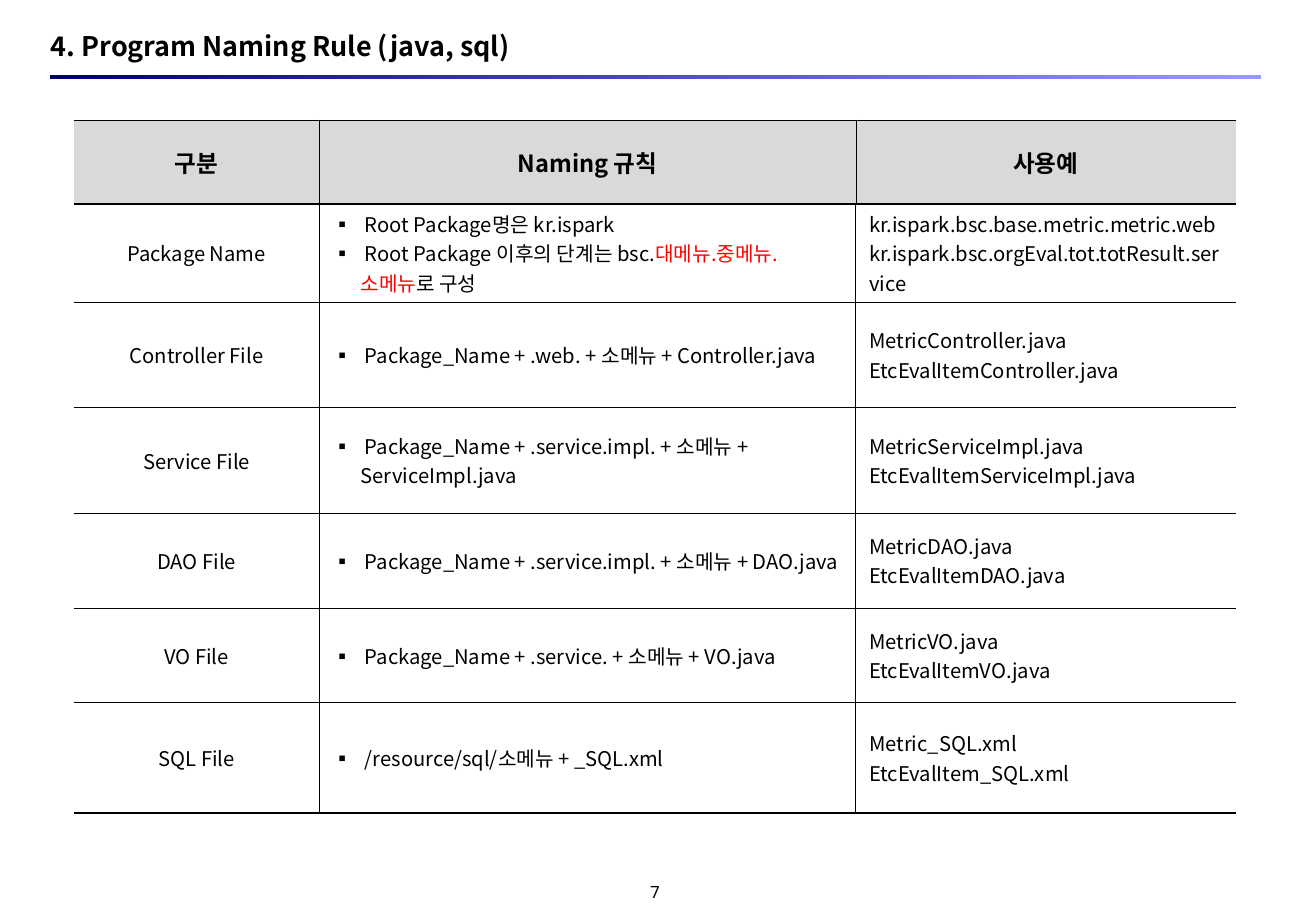
"""Build the slide that sets out the naming rules for Java and SQL programs."""
from dataclasses import dataclass
from typing import Any

from lxml import etree
from pptx import Presentation
from pptx.dml.color import RGBColor
from pptx.enum.shapes import MSO_SHAPE
from pptx.enum.text import MSO_ANCHOR, MSO_AUTO_SIZE, PP_ALIGN
from pptx.oxml.ns import qn
from pptx.util import Emu, Pt

LEFT, CENTER = PP_ALIGN.LEFT, PP_ALIGN.CENTER
MIDDLE = MSO_ANCHOR.MIDDLE
NO_AUTOFIT = MSO_AUTO_SIZE.NONE
RECTANGLE = MSO_SHAPE.RECTANGLE
EMU_PER_PX = 9144
TITLE_ONLY = 5


@dataclass(frozen=True)
class Theme:
    """Colours, fonts, type sizes and line widths of the slide."""
    ink: str = "000000"
    accent: str = "FF0000"
    header_fill: str = "D9D9D9"
    bar_start: str = "000066"
    bar_end: str = "9999FF"
    font: str = "Noto Sans CJK KR"
    number_font: str = "Noto Sans Mono"
    title_size: int = 16
    header_size: int = 14
    body_size: int = 12
    number_size: int = 10
    heavy_line: float = 0.96
    thin_line: float = 0.45
    hair_line: float = 0.11


@dataclass(frozen=True)
class Span:
    """A stretch of text in one colour."""
    text: str
    color: str


@dataclass(frozen=True)
class NamingRule:
    """One row: the kind of file, its rules and its examples."""
    height: int
    kind: str
    rules: tuple[tuple[Span, ...], ...]
    examples: tuple[str, ...]


THEME = Theme()
COLUMN_WIDTHS = (202, 442, 313)
HEADER_HEIGHT = 69
HEADERS = ("구분", "Naming 규칙", "사용예")
BULLET_INDENT = 23


def plain(text: str) -> tuple[Span, ...]:
    """Return a paragraph in the ink colour."""
    return (Span(text, THEME.ink),)


NAMING_RULES = (
    NamingRule(80, "Package Name",
               (plain(" Root Package명은 kr.ispark"),
                (Span(" Root Package 이후의 단계는 bsc.", THEME.ink),
                 Span("대메뉴.중메뉴.소메뉴", THEME.accent),
                 Span("로 구성", THEME.ink))),
               ("kr.ispark.bsc.base.metric.metric.web",
                "kr.ispark.bsc.orgEval.tot.totResult.service")),
    NamingRule(87, "Controller File",
               (plain(" Package_Name + .web. + 소메뉴 + Controller.java"),),
               ("MetricController.java", "EtcEvalItemController.java")),
    NamingRule(87, "Service File",
               (plain(" Package_Name + .service.impl. + 소메뉴 + ServiceImpl.java"),),
               ("MetricServiceImpl.java", "EtcEvalItemServiceImpl.java")),
    NamingRule(78, "DAO File",
               (plain(" Package_Name + .service.impl. + 소메뉴 + DAO.java"),),
               ("MetricDAO.java", "EtcEvalItemDAO.java")),
    NamingRule(78, "VO File",
               (plain(" Package_Name + .service. + 소메뉴 + VO.java"),),
               ("MetricVO.java", "EtcEvalItemVO.java")),
    NamingRule(91, "SQL File",
               (plain(" /resource/sql/소메뉴 + _SQL.xml"),),
               ("Metric_SQL.xml", "EtcEvalItem_SQL.xml")),
)


def px(length: int) -> Emu:
    """Turn a length in px into EMU."""
    return Emu(length * EMU_PER_PX)


def rgb(color: str) -> RGBColor:
    """Turn a hex colour into an RGBColor."""
    return RGBColor.from_string(color)


def apply(target: Any, values: dict[str, Any]) -> None:
    """Set each named attribute on the target."""
    for name, value in values.items():
        setattr(target, name, value)


def place(shape: Any, left: int, top: int, width: int, height: int) -> None:
    """Put a shape at a position given in px."""
    apply(shape, {"left": px(left), "top": px(top),
                  "width": px(width), "height": px(height)})


def add_bullet(paragraph: Any) -> None:
    """Give a paragraph a square bullet with a hanging indent."""
    properties = paragraph._p.get_or_add_pPr()
    properties.set("marL", str(px(BULLET_INDENT)))
    properties.set("indent", str(-px(BULLET_INDENT)))
    etree.SubElement(properties, qn("a:buFont"), typeface=THEME.font)
    etree.SubElement(properties, qn("a:buChar"), char="▪")


def write(frame: Any, paragraphs: tuple[tuple[Span, ...], ...], size: int,
          align: Any = LEFT, bold: bool = False, bulleted: bool = False,
          font: str = THEME.font) -> None:
    """Fill a text frame with formatted paragraphs."""
    for index, spans in enumerate(paragraphs):
        paragraph = frame.paragraphs[0] if index == 0 else frame.add_paragraph()
        if bulleted:
            add_bullet(paragraph)
        paragraph.alignment = align
        for span in spans:
            run = paragraph.add_run()
            run.text = span.text
            run.font.color.rgb = rgb(span.color)
            apply(run.font, {"size": Pt(size), "bold": bold, "name": font})
            etree.SubElement(run._r.get_or_add_rPr(), qn("a:ea"), typeface=font)


def fit_frame(frame: Any) -> None:
    """Remove the insets of a text frame and centre it vertically."""
    apply(frame, {"margin_left": 0, "margin_right": 0, "margin_top": 0, "margin_bottom": 0,
                  "word_wrap": True, "auto_size": NO_AUTOFIT, "vertical_anchor": MIDDLE})


def set_borders(cell: Any, widths: dict[str, float]) -> None:
    """Draw the four cell borders, leaving out those of zero width."""
    properties = cell._tc.get_or_add_tcPr()
    for side, width in widths.items():
        line = etree.SubElement(properties, qn(f"a:ln{side}"), w=str(Pt(width)))
        if width:
            fill = etree.SubElement(line, qn("a:solidFill"))
            etree.SubElement(fill, qn("a:srgbClr"), val=THEME.ink)
        else:
            etree.SubElement(line, qn("a:noFill"))


def format_cell(cell: Any, row: int, column: int) -> None:
    """Set the insets, borders and fill that follow from a cell's place."""
    apply(cell, {"margin_left": px(11), "margin_right": px(11), "margin_top": px(4),
                 "margin_bottom": px(4), "vertical_anchor": MIDDLE})
    is_header = row == 0
    upright = THEME.hair_line if is_header else THEME.thin_line
    set_borders(cell, {
        "L": upright if column > 0 else 0,
        "R": upright if column < len(HEADERS) - 1 else 0,
        "T": THEME.heavy_line if row <= 1 else THEME.thin_line,
        "B": THEME.heavy_line if row in (0, len(NAMING_RULES)) else THEME.thin_line,
    })
    if is_header:
        cell.fill.solid()
        cell.fill.fore_color.rgb = rgb(THEME.header_fill)
    else:
        cell.fill.background()


def add_title(slide: Any) -> None:
    """Write the title and the gradient bar under it."""
    bar = slide.shapes.add_shape(RECTANGLE, px(41), px(62), px(998), px(3))
    bar.shadow.inherit = False
    bar.line.fill.background()
    bar.fill.gradient()
    bar.fill.gradient_angle = 0
    for stop, position, color in zip(bar.fill.gradient_stops, (0, 1),
                                     (THEME.bar_start, THEME.bar_end)):
        stop.position = position
        stop.color.rgb = rgb(color)
    title = slide.shapes.title
    place(title, 42, 24, 997, 27)
    fit_frame(title.text_frame)
    write(title.text_frame, (plain("4. Program Naming Rule (java, sql)"),),
          THEME.title_size, bold=True)


def add_rules_table(slide: Any) -> None:
    """Draw the table of naming rules."""
    heights = (HEADER_HEIGHT, *(rule.height for rule in NAMING_RULES))
    table = slide.shapes.add_table(len(heights), len(HEADERS), px(61), px(99),
                                   px(sum(COLUMN_WIDTHS)), px(sum(heights))).table
    apply(table, {"first_row": False, "horz_banding": False})
    for column, width in zip(table.columns, COLUMN_WIDTHS):
        column.width = px(width)
    for row_index, height in enumerate(heights):
        table.rows[row_index].height = px(height)
        for column_index in range(len(HEADERS)):
            format_cell(table.cell(row_index, column_index), row_index, column_index)
    for index, header in enumerate(HEADERS):
        write(table.cell(0, index).text_frame, (plain(header),),
              THEME.header_size, CENTER, bold=True)
    for index, rule in enumerate(NAMING_RULES, start=1):
        kind, rules, examples = (cell.text_frame for cell in table.rows[index].cells)
        write(kind, (plain(rule.kind),), THEME.body_size, CENTER)
        write(rules, rule.rules, THEME.body_size, bulleted=True)
        write(examples, tuple(map(plain, rule.examples)), THEME.body_size)


def add_page_number(slide: Any) -> None:
    """Write the page number at the foot of the slide."""
    number = slide.shapes.add_textbox(px(506), px(724), px(67), px(20))
    fit_frame(number.text_frame)
    write(number.text_frame, (plain("7"),), THEME.number_size, CENTER,
          font=THEME.number_font)


def main() -> None:
    """Build and save the presentation."""
    deck = Presentation()
    apply(deck, {"slide_width": px(1084), "slide_height": px(750)})
    slide = deck.slides.add_slide(deck.slide_layouts[TITLE_ONLY])
    add_title(slide)
    add_rules_table(slide)
    add_page_number(slide)
    deck.save("out.pptx")


if __name__ == "__main__":
    main()
